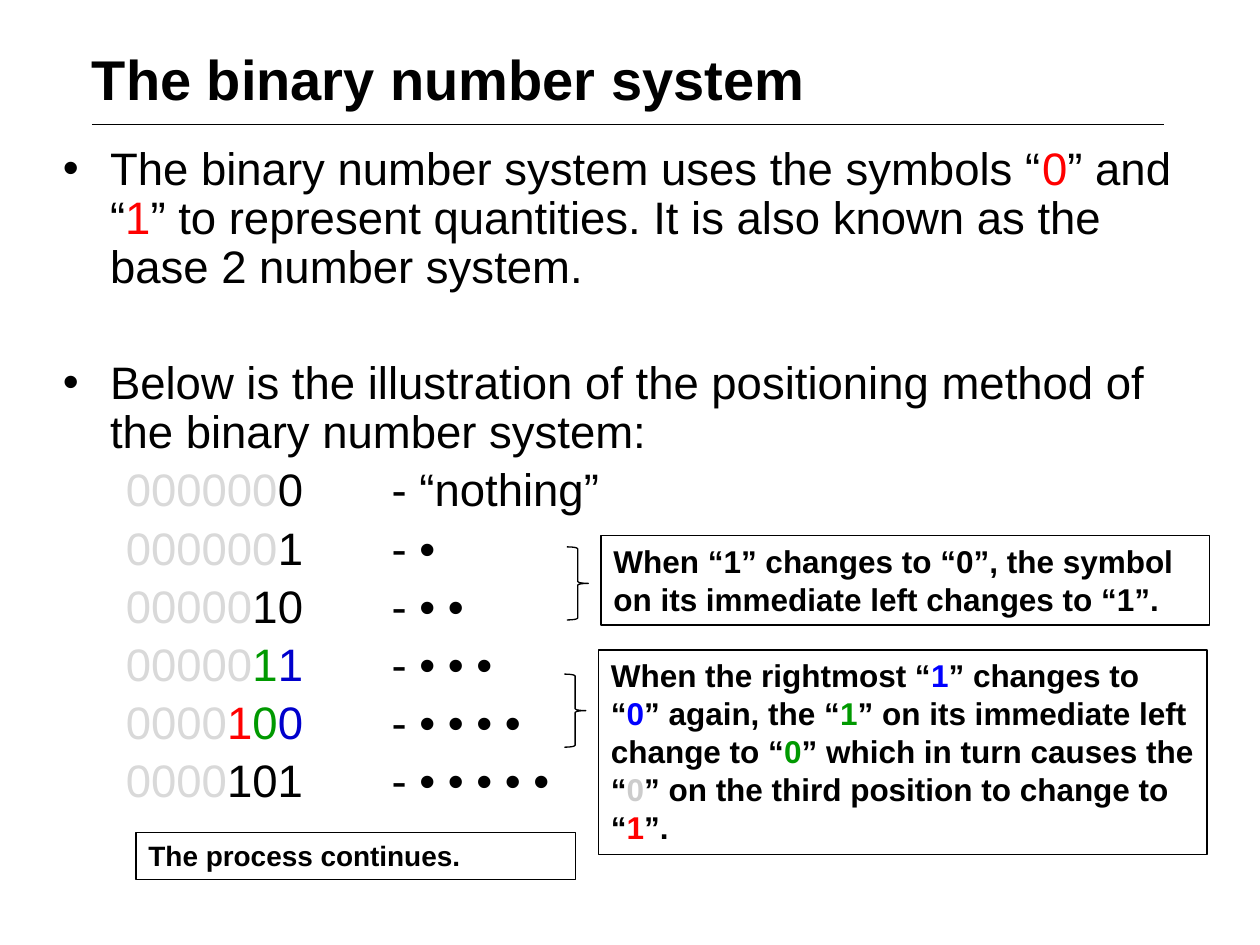
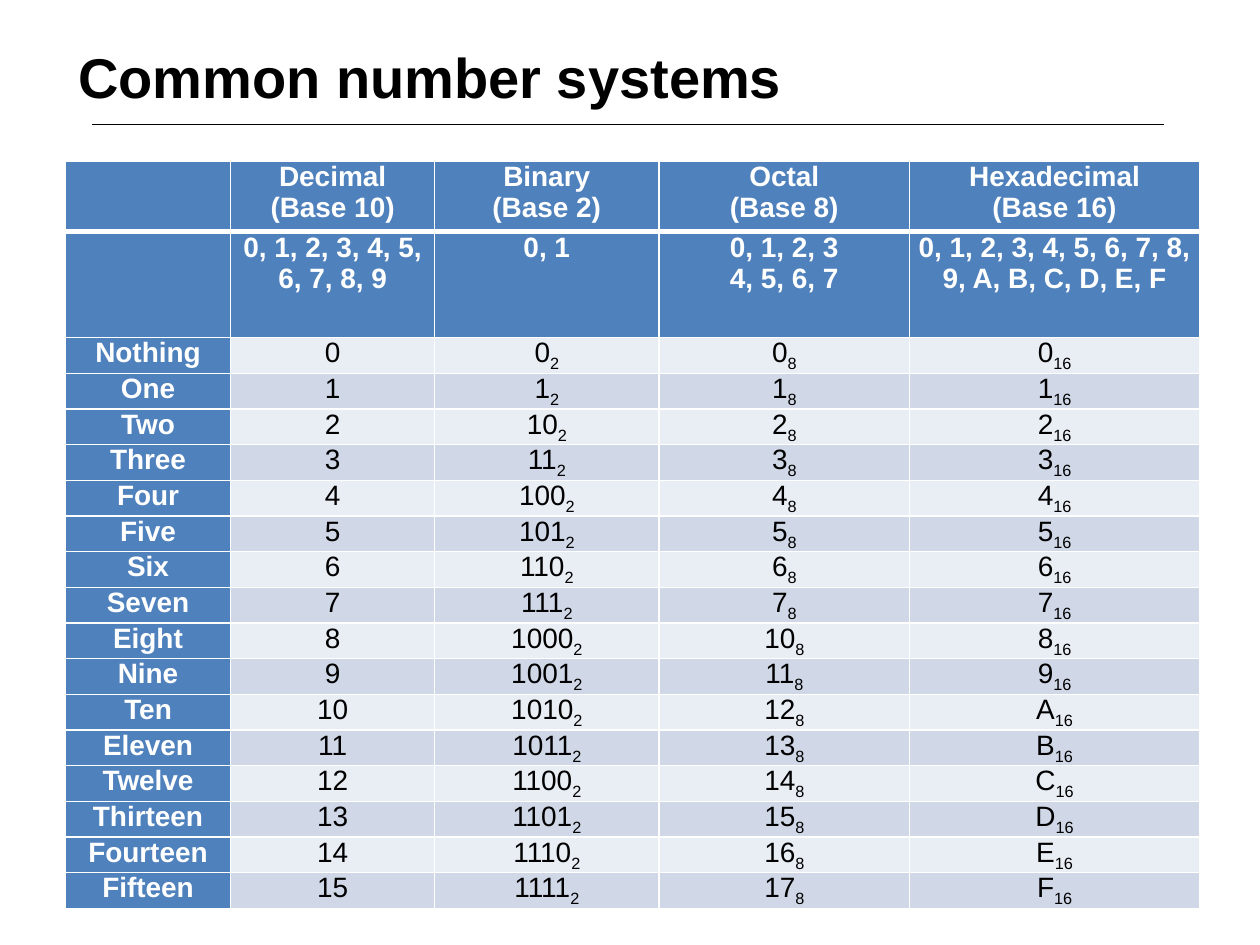
from pptx import Presentation
from pptx.dml.color import RGBColor
from pptx.enum.shapes import MSO_CONNECTOR as Connector, MSO_SHAPE as Shape
from pptx.enum.text import MSO_ANCHOR as Anchor, MSO_AUTO_SIZE as AutoSize, PP_ALIGN as Align
from pptx.oxml.ns import qn
from pptx.util import Inches, Pt
from lxml.etree import SubElement

BLACK = RGBColor(0x00, 0x00, 0x00)
WHITE = RGBColor(0xFF, 0xFF, 0xFF)
RED = RGBColor(0xFF, 0x00, 0x00)
GREEN = RGBColor(0x00, 0x99, 0x00)
BLUE = RGBColor(0x00, 0x00, 0xFF)
DARK_BLUE = RGBColor(0x00, 0x00, 0xCC)
PALE_GREY = RGBColor(0xD9, 0xD9, 0xD9)
GREY = RGBColor(0xCC, 0xCC, 0xCC)
HEADER_BLUE = RGBColor(0x4F, 0x81, 0xBD)
BANDS = (RGBColor(0xE9, 0xED, 0xF4), RGBColor(0xD0, 0xD8, 0xE8))

FONT = "Arial"
GRID_COLUMNS, GRID_ROWS = 100, 75
BODY_SIZE, NOTE_SIZE, SMALL_SIZE = 26, 18, 16
TEXT_INDENT, DIGIT_INDENT, DASH_STOP = 3.75, 5, 21.1

DEFINITION = [("The binary number system uses the symbols “", BLACK), ("0", RED),
              ("” and “", BLACK), ("1", RED),
              ("” to represent quantities. It is also known as the base 2 number system.", BLACK)]
ILLUSTRATION = [("Below is the illustration of the positioning method of "
                 "the binary number system:", BLACK)]
COUNTING = [
    [("000000", PALE_GREY), ("0", BLACK)],
    [("000000", PALE_GREY), ("1", BLACK)],
    [("00000", PALE_GREY), ("10", BLACK)],
    [("00000", PALE_GREY), ("1", GREEN), ("1", DARK_BLUE)],
    [("0000", PALE_GREY), ("1", RED), ("0", GREEN), ("0", DARK_BLUE)],
    [("0000", PALE_GREY), ("101", BLACK)],
]
FIRST_CARRY = [("When “1” changes to “0”, the symbol on its immediate left "
                "changes to “1”.", BLACK)]
SECOND_CARRY = [("When the rightmost “", BLACK), ("1", BLUE), ("” changes to “", BLACK),
                ("0", BLUE), ("” again, the “", BLACK), ("1", GREEN),
                ("” on its immediate left change to “", BLACK), ("0", GREEN),
                ("” which in turn causes the “", BLACK), ("0", GREY),
                ("” on the third position to change to “", BLACK), ("1", RED), ("”.", BLACK)]

SYSTEMS = ["", "Decimal\n(Base 10)", "Binary\n(Base 2)", "Octal\n(Base 8)",
           "Hexadecimal\n(Base 16)"]
SYMBOLS = ["", "0, 1, 2, 3, 4, 5, 6, 7, 8, 9", "0, 1", "0, 1, 2, 3\n4, 5, 6, 7",
           "0, 1, 2, 3, 4, 5, 6, 7, 8, 9, A, B, C, D, E, F"]
QUANTITIES = ["Nothing", "One", "Two", "Three", "Four", "Five", "Six", "Seven", "Eight",
              "Nine", "Ten", "Eleven", "Twelve", "Thirteen", "Fourteen", "Fifteen"]
BASES = (("d", ""), ("b", "2"), ("o", "8"), ("X", "16"))


class Lecture:
    """Holds the deck style and the current page, with one method per kind of element."""

    def __init__(self):
        self.deck = Presentation()
        self.deck.slide_width, self.deck.slide_height = Inches(10), Inches(7.5)
        self.page = None

    def across(self, columns):
        return round(self.deck.slide_width * columns / GRID_COLUMNS)

    def down(self, rows):
        return round(self.deck.slide_height * rows / GRID_ROWS)

    def place(self, left, top, width, height):
        return self.across(left), self.down(top), self.across(width), self.down(height)

    def style(self, span, size, colour, bold=False):
        font = span.font
        font.name, font.size, font.bold = FONT, Pt(size), bold
        font.color.rgb = colour

    def add_spans(self, para, spans, size, bold=False):
        for text, colour in spans:
            span = para.add_run()
            span.text = text
            self.style(span, size, colour, bold)

    def add_page(self, title, left, top):
        self.page = self.deck.slides.add_slide(self.deck.slide_layouts[5])
        box = self.page.shapes.title
        box.left, box.top, box.width, box.height = self.place(left, top, 90, 12.5)
        frame = box.text_frame
        frame.text = title
        frame.vertical_anchor = Anchor.TOP
        frame.paragraphs[0].alignment = Align.LEFT
        self.style(frame.paragraphs[0].runs[0], 32, BLACK, bold=True)
        self.add_rule(7.3, 92.4, 9.9)

    def add_rule(self, left, right, top):
        rule = self.page.shapes.add_connector(
            Connector.STRAIGHT, self.across(left), self.down(top),
            self.across(right), self.down(top))
        rule.line.color.rgb, rule.line.width = BLACK, Pt(0.25)
        SubElement(rule.element.spPr, qn("a:effectLst"))

    def add_body(self, left, top, width, height):
        frame = self.page.shapes.add_textbox(*self.place(left, top, width, height)).text_frame
        frame.word_wrap = True
        return frame

    def add_line(self, frame, spans, indent, before=BODY_SIZE / 5):
        para = frame.paragraphs[0] if not frame.text else frame.add_paragraph()
        para.line_spacing, para.space_before = 0.9, Pt(before)
        para._p.get_or_add_pPr().set("marL", str(self.across(indent)))
        self.add_spans(para, spans, BODY_SIZE)
        return para._p.get_or_add_pPr()

    def add_bullet(self, frame, spans, **spacing):
        settings = self.add_line(frame, spans, TEXT_INDENT, **spacing)
        settings.set("indent", str(-self.across(TEXT_INDENT)))
        SubElement(settings, qn("a:buFont")).set("typeface", FONT)
        SubElement(settings, qn("a:buChar")).set("char", "•")

    def add_count(self, frame, digits, meaning):
        settings = self.add_line(frame, digits + [(f"\t- {meaning}", BLACK)], DIGIT_INDENT)
        stop = SubElement(SubElement(settings, qn("a:tabLst")), qn("a:tab"))
        stop.set("pos", str(self.across(DASH_STOP)))
        stop.set("algn", "l")

    def add_outline(self, kind, *area):
        shape = self.page.shapes.add_shape(kind, *self.place(*area))
        shape.shadow.inherit = False
        shape.fill.background()
        shape.line.color.rgb, shape.line.width = BLACK, Pt(0.75)
        return shape

    def add_note(self, spans, size, *area):
        frame = self.add_outline(Shape.RECTANGLE, *area).text_frame
        frame.word_wrap, frame.auto_size = True, AutoSize.SHAPE_TO_FIT_TEXT
        frame.vertical_anchor = Anchor.TOP
        frame.paragraphs[0].alignment = Align.LEFT
        self.add_spans(frame.paragraphs[0], spans, size, bold=True)

    def add_table(self, left, top, widths, heights):
        area = self.place(left, top, sum(widths), sum(heights))
        table = self.page.shapes.add_table(len(heights), len(widths), *area).table
        for column, width in zip(table.columns, widths):
            column.width = self.across(width)
        for row, height in zip(table.rows, heights):
            row.height = self.down(height)
        return table

    def add_borders(self, cell, bottom):
        settings = cell._tc.get_or_add_tcPr()
        for side, width in (("L", 1), ("R", 1), ("T", 1), ("B", bottom)):
            line = SubElement(settings, qn(f"a:ln{side}"))
            line.set("w", str(Pt(width)))
            fill = SubElement(line, qn("a:solidFill"))
            SubElement(fill, qn("a:srgbClr")).set("val", str(WHITE))

    def fill_cell(self, cell, text, fill, header=False, base="", bottom=1):
        self.add_borders(cell, bottom)
        cell.fill.solid()
        cell.fill.fore_color.rgb = fill
        cell.margin_left = cell.margin_right = self.across(0.7)
        cell.margin_top = cell.margin_bottom = 0
        cell.text_frame.text = text
        colour = WHITE if header else BLACK
        for para in cell.text_frame.paragraphs:
            para.alignment = Align.CENTER
            for span in para.runs:
                self.style(span, SMALL_SIZE, colour, header)
        if base:
            self.add_spans(para, [(base, colour)], SMALL_SIZE)
            para.runs[-1].font._element.set("baseline", "-25000")


def build_binary_page(lecture):
    lecture.add_page("The binary number system", 6.3, 3)
    body = lecture.add_body(4, 11.1, 90, 49.5)
    lecture.add_bullet(body, DEFINITION)
    lecture.add_bullet(body, ILLUSTRATION, before=38.3)
    for count, digits in enumerate(COUNTING):
        lecture.add_count(body, digits, " ".join("•" * count) or "“nothing”")
    lecture.add_note(FIRST_CARRY, NOTE_SIZE, 47.7, 42.5, 48.3, 7.1)
    lecture.add_note(SECOND_CARRY, NOTE_SIZE, 47.5, 51.6, 48.3, 16.2)
    lecture.add_note([("The process continues.", BLACK)], SMALL_SIZE, 10.8, 66.1, 34.9, 3.7)
    for left, top in ((45, 43.4), (44.8, 53.5)):
        lecture.add_outline(Shape.RIGHT_BRACE, left, top, 1.7, 5.8)


def build_systems_page(lecture):
    lecture.add_page("Common number systems", 5.2, 2.9)
    heights = [5.6, 8.4] + [45.1 / len(QUANTITIES)] * len(QUANTITIES)
    table = lecture.add_table(5.2, 12.8, [13.1, 16.2, 17.8, 19.9, 23], heights)
    for row, (labels, bottom) in enumerate(((SYSTEMS, 3), (SYMBOLS, 1))):
        for column, label in enumerate(labels):
            lecture.fill_cell(table.cell(row, column), label, HEADER_BLUE, True, bottom=bottom)
    for number, quantity in enumerate(QUANTITIES):
        row = number + 2
        lecture.fill_cell(table.cell(row, 0), quantity, HEADER_BLUE, True)
        for column, (code, base) in enumerate(BASES, 1):
            lecture.fill_cell(table.cell(row, column), format(number, code),
                              BANDS[number % 2], base=base)


def main():
    lecture = Lecture()
    build_binary_page(lecture)
    build_systems_page(lecture)
    lecture.deck.save("out.pptx")


if __name__ == "__main__":
    main()
